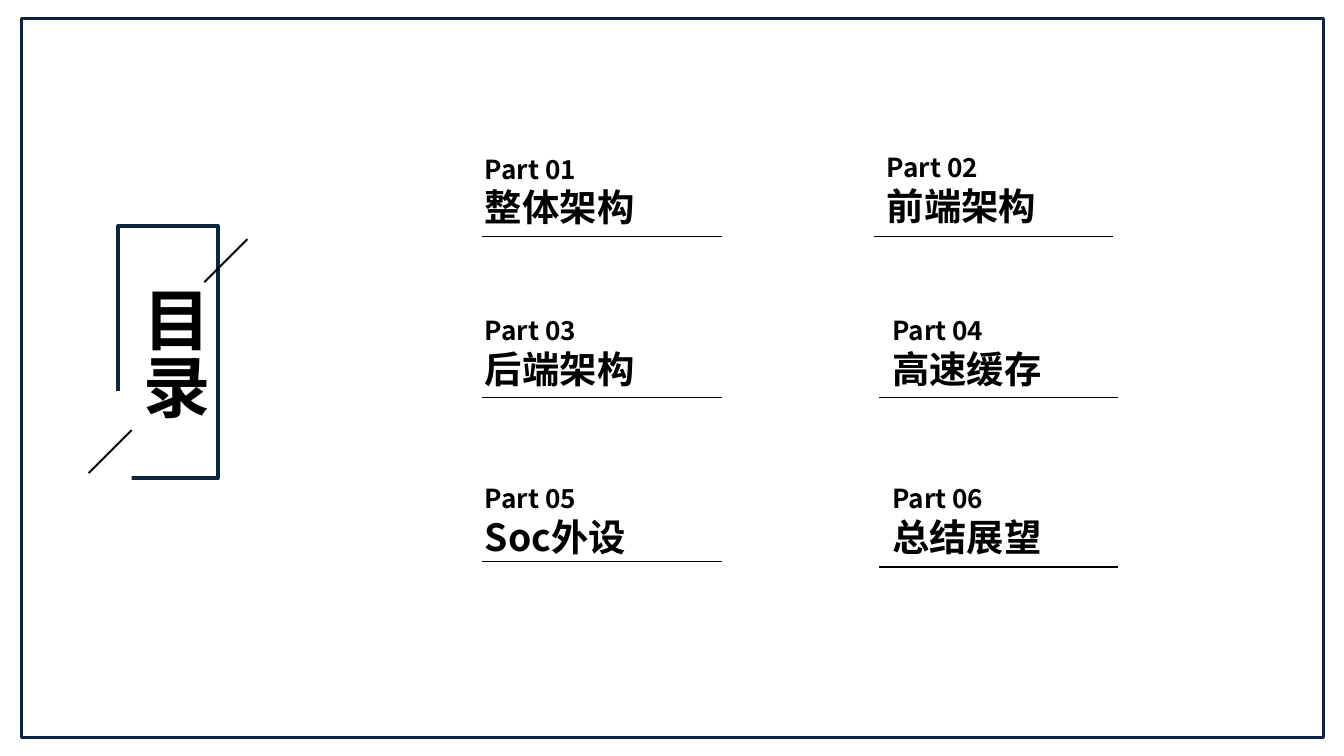
from lxml import etree
from pptx import Presentation
from pptx.dml.color import RGBColor
from pptx.enum.shapes import MSO_CONNECTOR, MSO_SHAPE
from pptx.oxml.ns import qn
from pptx.util import Inches, Pt

RECTANGLE = MSO_SHAPE.RECTANGLE
STRAIGHT = MSO_CONNECTOR.STRAIGHT
COLORS = {"navy": "0F243E", "white": "FFFFFF", "black": "000000"}
CJK_FONT = "Noto Sans CJK SC"
TITLE_FONT = "Arial"
PAGE_WIDTH = 10
PAGE_HEIGHT = PAGE_WIDTH * 9 / 16
RULE_LENGTH = 1.78

# part name, text left, text top, text width, rule left, rule height
PARTS = [
    ("整体架构", 3.51, 1.09, 3.71, 3.59, 1.76),
    ("前端架构", 6.5, 1.08, 2.01, 6.5, 1.76),
    ("后端架构", 3.51, 2.29, 3.71, 3.59, 2.96),
    ("高速缓存", 6.54, 2.29, 2.01, 6.54, 2.96),
    ("Soc外设", 3.51, 3.54, 3.71, 3.59, 4.18),
    ("总结展望", 6.54, 3.54, 2.01, 6.54, 4.22),
]


class ContentsPage:
    """Draws on the page, or on the group started last."""

    def __init__(self, deck):
        self.page = deck.slides.add_slide(deck.slide_layouts[6])
        self.shapes = self.page.shapes

    def start_group(self):
        self.shapes = self.page.shapes.add_group_shape().shapes

    def color(self, name):
        return RGBColor.from_string(COLORS[name])

    def rectangle(self, left, top, width, height, fill=None, line=None, weight=1):
        box = self.shapes.add_shape(
            RECTANGLE, Inches(left), Inches(top), Inches(width), Inches(height))
        box.shadow.inherit = False
        if fill:
            box.fill.solid()
            box.fill.fore_color.rgb = self.color(fill)
        else:
            box.fill.background()
        if line:
            box.line.color.rgb = self.color(line)
            box.line.width = Pt(weight)
        else:
            box.line.fill.background()

    def line(self, start, end, weight):
        x1, y1 = start
        x2, y2 = end
        rule = self.shapes.add_connector(
            STRAIGHT, Inches(x1), Inches(y1), Inches(x2), Inches(y2))
        rule.line.color.rgb = self.color("black")
        rule.line.width = Pt(weight)
        etree.SubElement(rule.element.spPr, qn("a:effectLst"))

    def text(self, left, top, width, height, lines, font=CJK_FONT, vertical=False):
        """Each line is a (wording, size) pair and becomes a paragraph."""
        box = self.shapes.add_textbox(
            Inches(left), Inches(top), Inches(width), Inches(height))
        frame = box.text_frame
        frame.word_wrap = True
        if vertical:
            frame._txBody.bodyPr.set("vert", "eaVert")
        for index, (wording, size) in enumerate(lines):
            para = frame.add_paragraph() if index else frame.paragraphs[0]
            span = para.add_run()
            span.text = wording
            span.font.size = Pt(size)
            span.font.bold = True
            span.font.color.rgb = self.color("black")
            span.font.name = font
            east_asian = etree.SubElement(span.font._element, qn("a:ea"))
            east_asian.set("typeface", CJK_FONT)


def main():
    deck = Presentation()
    deck.slide_width = Inches(PAGE_WIDTH)
    deck.slide_height = Inches(PAGE_HEIGHT)
    contents = ContentsPage(deck)

    contents.rectangle(0.16, 0.14, 9.69, 5.35, line="navy", weight=1.5)

    contents.start_group()
    contents.rectangle(0.88, 1.68, 0.74, 1.88, line="navy", weight=2)
    contents.rectangle(0.83, 2.91, 0.15, 0.91, fill="white")
    contents.text(0.84, 2.03, 0.81, 1.23, [("目录", 36)], TITLE_FONT, vertical=True)
    contents.line((1.84, 1.78), (1.52, 2.1), 1)
    contents.line((0.98, 3.2), (0.66, 3.52), 1)

    for number, (name, left, top, width, rule_left, rule_y) in enumerate(PARTS, 1):
        contents.start_group()
        contents.text(left, top, width, 0.67, [(f"Part {number:02}", 14), (name, 20)])
        contents.line((rule_left, rule_y), (rule_left + RULE_LENGTH, rule_y), 0.75)

    deck.save("out.pptx")


if __name__ == "__main__":
    main()
